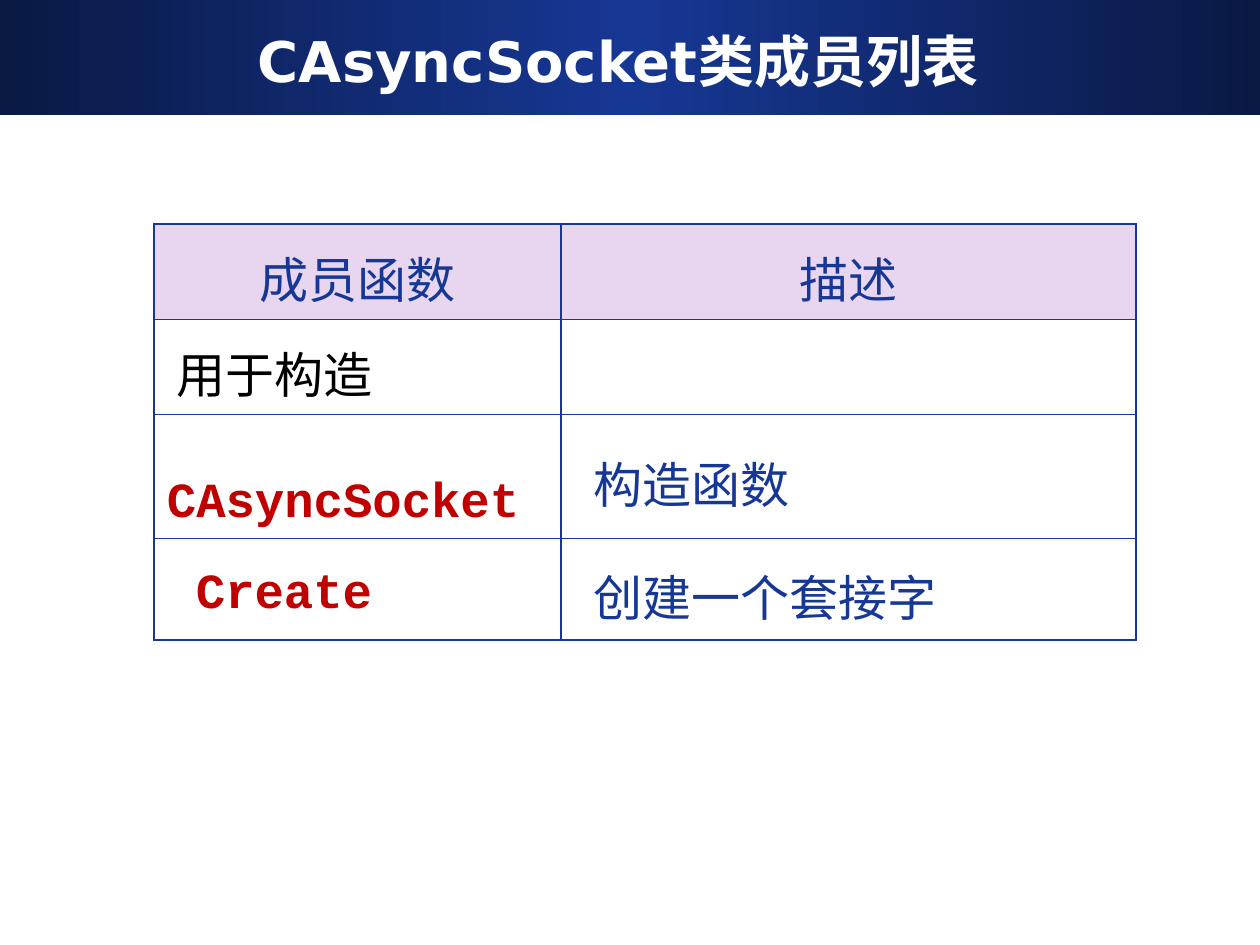
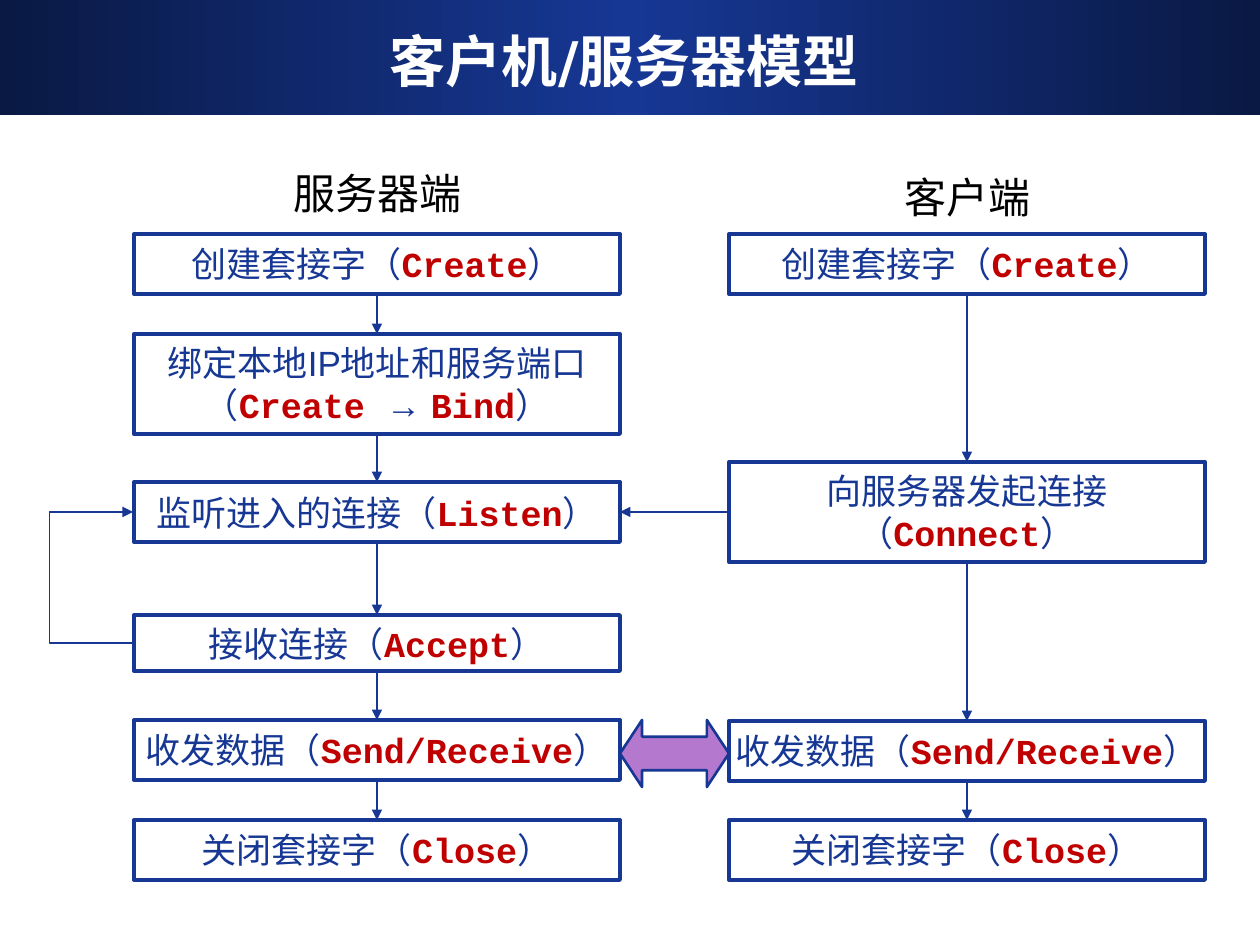
from copy import deepcopy

from lxml import etree
from pptx import Presentation
from pptx import util as u
from pptx.dml.color import RGBColor
from pptx.enum import shapes, text
from pptx.oxml.ns import qn

# Shared style
BLUE = RGBColor(0x16, 0x37, 0x94)
NAVY = RGBColor(0x0A, 0x19, 0x44)
RED = RGBColor(0xC0, 0x00, 0x00)
LILAC = RGBColor(0xD2, 0xAE, 0xE2)
PURPLE = RGBColor(0xB4, 0x79, 0xCF)
WHITE = RGBColor(0xFF, 0xFF, 0xFF)
BLACK = RGBColor(0x00, 0x00, 0x00)
SANS, BODY, CODE = "DejaVu Sans", "Arial", "Courier New"
CENTER = text.PP_ALIGN.CENTER
MIDDLE, BOTTOM = text.MSO_ANCHOR.MIDDLE, text.MSO_ANCHOR.BOTTOM

# Member table: each cell is text, font, colour, bold, indent in px, anchor
MEMBERS_TITLE = "CAsyncSocket类成员列表 "
MEMBERS_HEAD = ["成员函数", "描述"]
MEMBERS = [
    [("用于构造", CODE, BLACK, False, 10, MIDDLE), None],
    [("CAsyncSocket", CODE, RED, True, 0, BOTTOM),
     ("构造函数", SANS, BLUE, False, 20, MIDDLE)],
    [("Create", CODE, RED, True, 29, MIDDLE),
     ("创建一个套接字", SANS, BLUE, False, 20, MIDDLE)],
]
TABLE_AT = (154, 224)
COLUMN_WIDTHS = [407, 575]
ROW_HEIGHTS = [90, 86, 124, 102]

# Flow chart: steps are label, top, height in px; backticks enclose function names
MODEL_TITLE = "客户机/服务器模型"
SIDES = {
    "server": dict(
        heading="服务器端", heading_at=(281, 161, 193, 63), left=134, width=486,
        steps=[("创建套接字（`Create`）", 234, 60),
               ("绑定本地IP地址和服务端口\n（`Create `→ `Bind`）", 334, 100),
               ("监听进入的连接（`Listen`）", 482, 60),
               ("接收连接（`Accept`）", 615, 56),
               ("收发数据（`Send/Receive`）", 720, 60),
               ("关闭套接字（`Close`）", 820, 60)]),
    "client": dict(
        heading="客户端", heading_at=(892, 165, 151, 63), left=729, width=476,
        steps=[("创建套接字（`Create`）", 234, 60),
               ("向服务器发起连接\n（`Connect`）", 462, 100),
               ("收发数据（`Send/Receive`）", 721, 60),
               ("关闭套接字（`Close`）", 820, 60)]),
}
LOOP_REACH = 85
EXCHANGE_HEIGHT = 67


def px(*lengths):
    """Turn px (126 to the inch) into EMU."""
    emu = [u.Emu(round(n * 914400 / 126)) for n in lengths]
    return emu if len(emu) > 1 else emu[0]


def set_font(font, name, size, color, bold=False):
    font.name, font.size, font.bold = name, u.Pt(size), bold
    font.color.rgb = color


# Shared band and title
def add_band(slide, master):
    band = slide.shapes.add_shape(shapes.MSO_SHAPE.RECTANGLE, *px(0, 0, 1260, 115))
    band.shadow.inherit = False
    band.line.fill.background()
    band.fill.gradient()
    band.fill.gradient_angle = 0
    stops = band.element.spPr.find(".//" + qn("a:gsLst"))
    stops.append(deepcopy(stops[0]))
    for stop, position, color in zip(band.fill.gradient_stops, (0, 0.5, 1),
                                     (NAVY, BLUE, NAVY)):
        stop.position = position
        stop.color.rgb = color
    band.element.nvSpPr.cNvPr.set("id", "99")
    master.shapes.element.insert(2, band.element)


def add_titled_slide(prs, title):
    slide = prs.slides.add_slide(prs.slide_layouts[5])
    heading = slide.shapes.title
    heading.left, heading.top, heading.width, heading.height = px(42, 21, 1165, 78)
    frame = heading.text_frame
    frame.text = title
    frame.vertical_anchor = MIDDLE
    frame.auto_size = text.MSO_AUTO_SIZE.NONE
    frame.paragraphs[0].alignment = CENTER
    set_font(frame.paragraphs[0].font, SANS, 32, WHITE, True)
    return slide


# Member table
def set_borders(cell, outer_sides):
    for side in "LRTB":
        width = u.Pt(1.5 if side in outer_sides else 0.75)
        line = etree.SubElement(cell._tc.get_or_add_tcPr(), qn(f"a:ln{side}"), w=str(width))
        fill = etree.SubElement(line, qn("a:solidFill"))
        etree.SubElement(fill, qn("a:srgbClr"), val=str(BLUE))


def add_member_table(slide):
    rows, columns = len(ROW_HEIGHTS), len(COLUMN_WIDTHS)
    table = slide.shapes.add_table(
        rows, columns, *px(*TABLE_AT, sum(COLUMN_WIDTHS), sum(ROW_HEIGHTS))).table
    table.first_row = table.horz_banding = False
    for column, width in zip(table.columns, COLUMN_WIDTHS):
        column.width = px(width)
    for row, height in zip(table.rows, ROW_HEIGHTS):
        row.height = px(height)

    head = [(label, SANS, BLUE, False, 0, MIDDLE) for label in MEMBERS_HEAD]
    for r, row in enumerate([head] + MEMBERS):
        for c, content in enumerate(row):
            cell = table.cell(r, c)
            set_borders(cell, [side for side, outer in zip(
                "LRTB", (c == 0, c == columns - 1, r == 0, r == rows - 1)) if outer])
            if r == 0:
                cell.fill.solid()
                cell.fill.fore_color.rgb = LILAC
                tint = cell._tc.tcPr.find(qn("a:solidFill"))[0]
                etree.SubElement(tint, qn("a:alpha"), val="50000")
            else:
                cell.fill.background()
            if content is None:
                continue
            label, font, color, bold, indent, anchor = content
            cell.text = label
            cell.vertical_anchor = anchor
            cell.margin_top = px(18)
            cell.margin_left = px(13 + indent)
            paragraph = cell.text_frame.paragraphs[0]
            if r == 0:
                paragraph.alignment = CENTER
            set_font(paragraph.font, font, 28, color, bold)


# Flow chart
def add_step(slide, label, left, top, width, height):
    step = slide.shapes.add_shape(shapes.MSO_SHAPE.RECTANGLE, *px(left, top, width, height))
    step.shadow.inherit = False
    step.fill.solid()
    step.fill.fore_color.rgb = WHITE
    step.line.color.rgb = BLUE
    step.line.width = u.Pt(2.25)
    frame = step.text_frame
    frame.word_wrap = False
    frame.vertical_anchor = MIDDLE
    frame.margin_left = frame.margin_right = 0
    frame.margin_top = frame.margin_bottom = px(1)
    paragraph = frame.paragraphs[0]
    paragraph.alignment = CENTER
    for i, piece in enumerate(label.split("`")):
        for j, part in enumerate(piece.split("\n")):
            if j:
                paragraph.add_line_break()
            run = paragraph.add_run()
            run.text = part
            if i % 2:
                set_font(run.font, CODE, 20, RED, True)
            else:
                set_font(run.font, BODY, 20, BLUE)
    return step


def add_arrow(slide, kind, *ends):
    arrow = slide.shapes.add_connector(kind, *ends)
    arrow.line.color.rgb = BLUE
    arrow.line.width = u.Pt(0.75)
    etree.SubElement(arrow.line._get_or_add_ln(), qn("a:tailEnd"), type="triangle")
    etree.SubElement(arrow._element.spPr, qn("a:effectLst"))
    return arrow


def join(slide, start, start_site, end, end_site):
    arrow = add_arrow(slide, shapes.MSO_CONNECTOR.STRAIGHT, 0, 0, 0, 0)
    arrow.begin_connect(start, start_site)
    arrow.end_connect(end, end_site)


def add_loop(slide, start, end):
    """Run from the left side of one step out and back to the left of another."""
    loop = add_arrow(slide, shapes.MSO_CONNECTOR.ELBOW,
                     start.left, start.top + start.height // 2,
                     end.left - px(1), end.top + end.height // 2)
    guides = loop._element.spPr.find(qn("a:prstGeom")).get_or_add_avLst()
    etree.SubElement(guides, qn("a:gd"), name="adj1", fmla=f"val {LOOP_REACH * 100000}")


def add_side(slide, side):
    heading = slide.shapes.add_textbox(*px(*side["heading_at"])).text_frame
    heading.word_wrap = False
    heading.text = side["heading"]
    set_font(heading.paragraphs[0].font, BODY, 24, BLACK)
    steps = [add_step(slide, label, side["left"], top, side["width"], height)
             for label, top, height in side["steps"]]
    for upper, lower in zip(steps, steps[1:]):
        join(slide, upper, 2, lower, 0)
    return steps


def add_flow(slide):
    _, _, listen, accept, server_data, _ = add_side(slide, SIDES["server"])
    _, connect, client_data, _ = add_side(slide, SIDES["client"])
    join(slide, connect, 1, listen, 3)
    add_loop(slide, accept, listen)

    gap_left = server_data.left + server_data.width
    exchange = slide.shapes.add_shape(
        shapes.MSO_SHAPE.LEFT_RIGHT_ARROW, gap_left, server_data.top,
        client_data.left - gap_left, px(EXCHANGE_HEIGHT))
    exchange.adjustments[0], exchange.adjustments[1] = 0.5, 0.33
    exchange.shadow.inherit = False
    exchange.fill.solid()
    exchange.fill.fore_color.rgb = PURPLE
    exchange.line.color.rgb = BLUE
    exchange.line.width = u.Pt(1.5)


def main():
    prs = Presentation()
    prs.slide_width, prs.slide_height = px(1260, 945)
    members = add_titled_slide(prs, MEMBERS_TITLE)
    add_band(members, prs.slide_master)
    add_member_table(members)
    add_flow(add_titled_slide(prs, MODEL_TITLE))
    prs.save("out.pptx")


if __name__ == "__main__":
    main()
